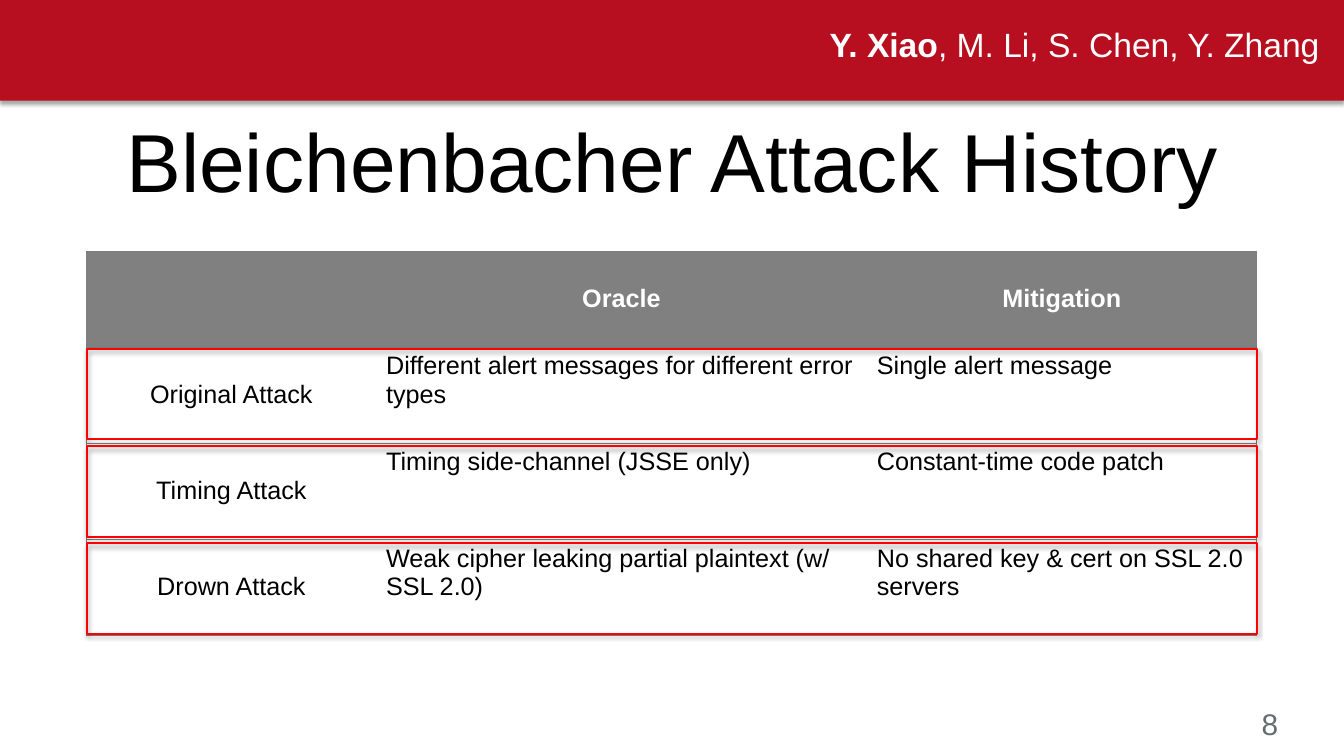
from pptx import Presentation
from pptx.dml.color import RGBColor
from pptx.enum.shapes import MSO_SHAPE
from pptx.enum.text import MSO_ANCHOR, MSO_AUTO_SIZE, PP_ALIGN
from pptx.oxml import parse_xml
from pptx.oxml.ns import nsdecls
from pptx.util import Pt


def rgb(value):
    """Turn a hex string into a colour."""
    return RGBColor.from_string(value)


class SlideBuilder:
    """Hold the style and the current slide."""

    FONT = "Arial"
    RED, FRAME, GREY = "B70F20", "FF0000", "808080"
    BORDER, NUMBER = "7D7D7D", "636D6E"
    BLACK, WHITE = "000000", "FFFFFF"

    def __init__(self, prs):
        """Add a slide that has a title only."""
        self.s = prs.slides.add_slide(prs.slide_layouts[5])

    def style(self, p, size, color, align=PP_ALIGN.LEFT, bold=False):
        """Format a whole paragraph."""
        p.alignment = align
        p.font.name = self.FONT
        p.font.size = Pt(size)
        p.font.bold = bold
        p.font.color.rgb = rgb(color)

    def title(self, text, x, y, w, h):
        """Move, fill and format the title placeholder."""
        sp = self.s.shapes.title
        sp.left, sp.top, sp.width, sp.height = Pt(x), Pt(y), Pt(w), Pt(h)
        tf = sp.text_frame
        tf.text = text
        tf.auto_size = MSO_AUTO_SIZE.NONE
        tf.vertical_anchor = MSO_ANCHOR.TOP
        tf.margin_top, tf.margin_bottom = Pt(10), Pt(0)
        self.style(tf.paragraphs[0], 58.7, self.BLACK, PP_ALIGN.CENTER)

    def text(self, runs, x, y, w, h, size, color, align=PP_ALIGN.LEFT):
        """Add a one-line text box from (text, bold) runs."""
        tf = self.s.shapes.add_textbox(Pt(x), Pt(y), Pt(w), Pt(h)).text_frame
        tf.word_wrap = False
        p = tf.paragraphs[0]
        self.style(p, size, color, align)
        for text, bold in runs:
            r = p.add_run()
            r.text = text
            if bold:
                r.font.bold = True

    def rect(self, x, y, w, h, fill=None, line=None):
        """Add a rectangle with a soft shadow below it."""
        sp = self.s.shapes.add_shape(MSO_SHAPE.RECTANGLE, Pt(x), Pt(y), Pt(w), Pt(h))
        if fill:
            sp.fill.solid()
            sp.fill.fore_color.rgb = rgb(fill)
        else:
            sp.fill.background()
        if line:
            sp.line.color.rgb = rgb(line)
            sp.line.width = Pt(1.5)
        else:
            sp.line.fill.background()
        sp.shadow.inherit = False
        sp._element.spPr.append(parse_xml(
            f'<a:effectLst {nsdecls("a")}><a:outerShdw blurRad="{Pt(3.1)}" '
            f'dist="{Pt(1.8)}" dir="5400000" rotWithShape="0"><a:srgbClr val="000000">'
            '<a:alpha val="35000"/></a:srgbClr></a:outerShdw></a:effectLst>'))
        for old in sp._element.spPr.findall(
                "{http://schemas.openxmlformats.org/drawingml/2006/main}effectLst")[:-1]:
            sp._element.spPr.remove(old)

    def borders(self, cell, visible):
        """Draw the visible sides of a cell and hide the others."""
        tcPr = cell._tc.get_or_add_tcPr()
        for side in "LRTB":
            fill = (f'<a:solidFill><a:srgbClr val="{self.BORDER}"/></a:solidFill>'
                    if side in visible else "<a:noFill/>")
            tcPr.append(parse_xml(
                f'<a:ln{side} {nsdecls("a")} w="{Pt(0.75)}">{fill}</a:ln{side}>'))

    def table(self, rows, x, y, widths, row_height):
        """Add a table with a grey header and centred row labels."""
        table = self.s.shapes.add_table(
            len(rows), len(widths), Pt(x), Pt(y),
            Pt(sum(widths)), Pt(row_height * len(rows))).table
        table.horz_banding = False
        for column, width in zip(table.columns, widths):
            column.width = Pt(width)
        for i, row in enumerate(rows):
            for j, text in enumerate(row):
                cell = table.cell(i, j)
                head, centred = i == 0, i == 0 or j == 0
                sides = "TB" + ("L" if j == 0 else "")
                sides += "R" if j == len(row) - 1 else ""
                self.borders(cell, sides)
                cell.fill.solid()
                cell.fill.fore_color.rgb = rgb(self.GREY if head else self.WHITE)
                cell.vertical_anchor = MSO_ANCHOR.MIDDLE if centred else MSO_ANCHOR.TOP
                cell.text = text
                self.style(cell.text_frame.paragraphs[0], 18,
                           self.WHITE if head else self.BLACK,
                           PP_ALIGN.CENTER if centred else PP_ALIGN.LEFT, head)


def main():
    """Build and save the slide."""
    prs = Presentation()
    prs.slide_width, prs.slide_height = Pt(960), Pt(540)
    b = SlideBuilder(prs)
    b.rect(0, 0, 960, 72, fill=b.RED)
    b.text([("8", False)], 894.2, 500.4, 41, 33, 21.3, b.NUMBER)
    b.title("Bleichenbacher Attack History", 66, 69, 828, 65.5)

    attacks = [
        ("Original Attack", "Different alert messages for different error types",
         "Single alert message"),
        ("Timing Attack", "Timing side-channel (JSSE only)",
         "Constant-time code patch"),
        ("Drown Attack", "Weak cipher leaking partial plaintext (w/ SSL 2.0)",
         "No shared key & cert on SSL 2.0 servers"),
    ]
    b.table([("", "Oracle", "Mitigation")] + attacks,
            62, 179.3, (206.6, 350.6, 278.6), 68.6)
    for i in range(len(attacks)):
        b.rect(62, 249.1 + 69.5 * i, 835.8, 64.8, line=b.FRAME)

    b.text([("Y. Xiao", True), (", M. Li, S. Chen, Y. Zhang", False)],
           581.8, 13.7, 367.9, 36, 24, b.WHITE, PP_ALIGN.RIGHT)
    prs.save("out.pptx")


if __name__ == "__main__":
    main()
